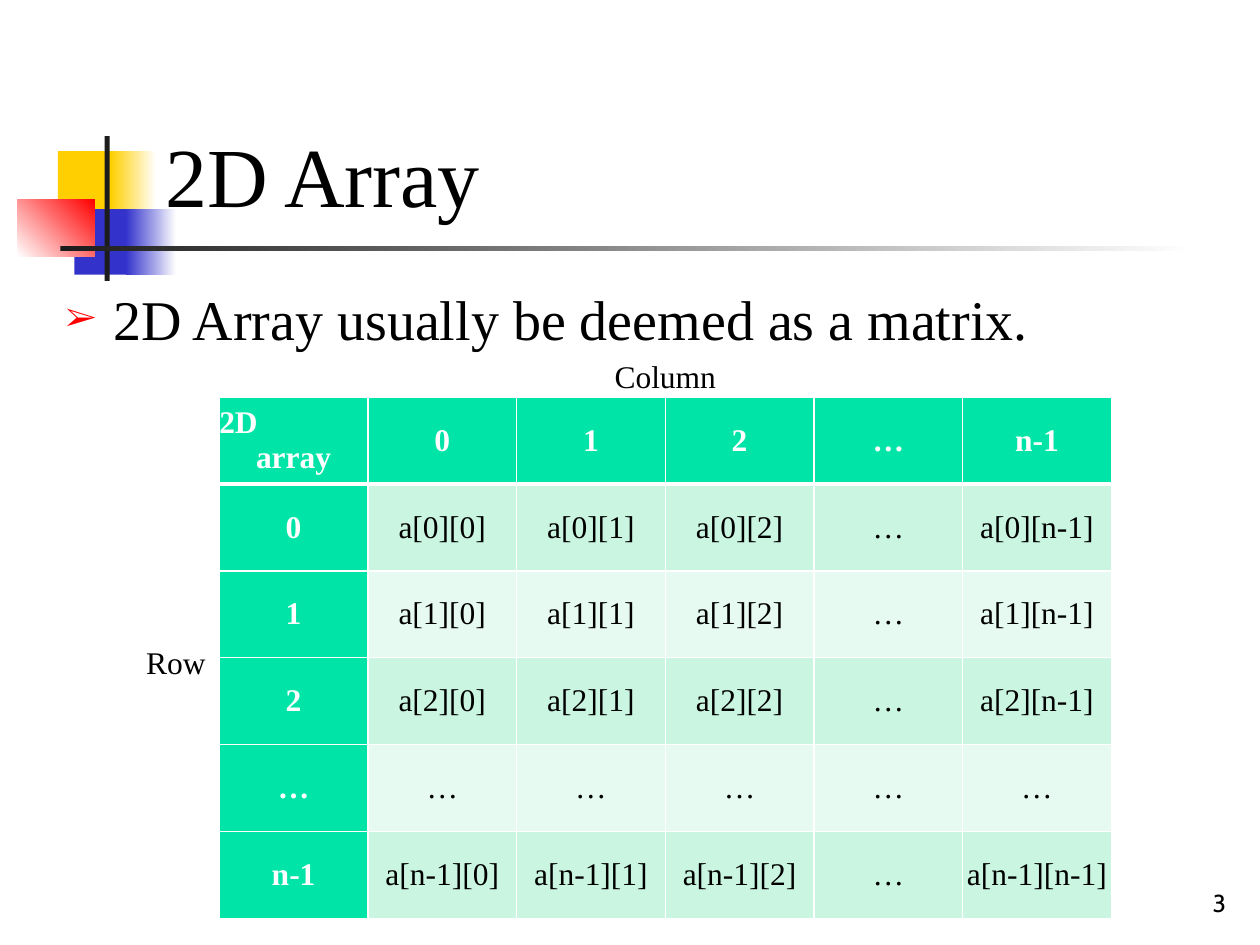
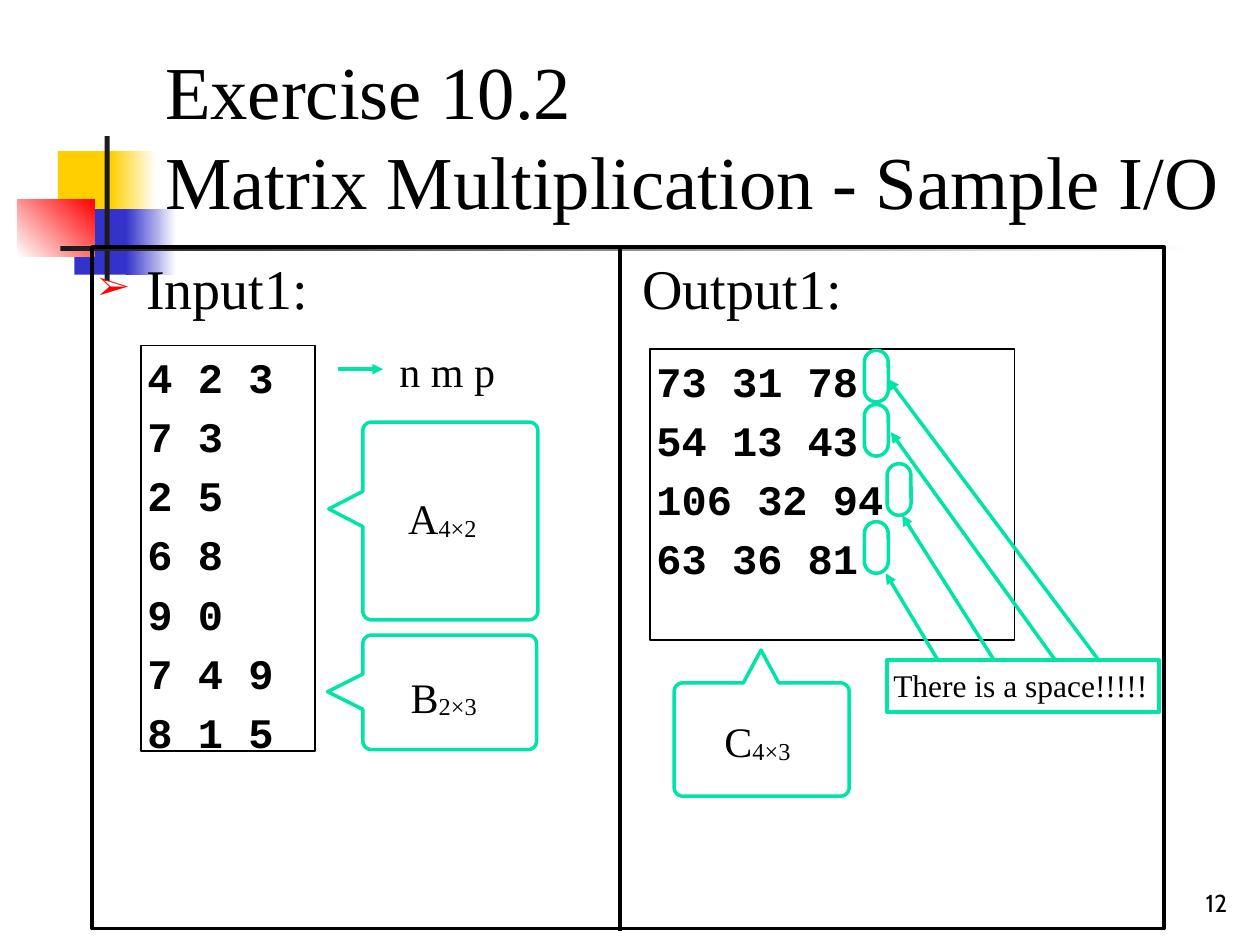
import math
from lxml import etree
from pptx import Presentation
from pptx.dml.color import RGBColor
from pptx.enum.shapes import MSO_CONNECTOR, MSO_SHAPE
from pptx.enum.text import MSO_ANCHOR, PP_ALIGN
from pptx.oxml.ns import qn
from pptx.util import Inches, Pt

RECT, PILL = MSO_SHAPE.RECTANGLE, MSO_SHAPE.ROUNDED_RECTANGLE
STRAIGHT = MSO_CONNECTOR.STRAIGHT
TOP, MIDDLE, BOTTOM = MSO_ANCHOR.TOP, MSO_ANCHOR.MIDDLE, MSO_ANCHOR.BOTTOM
LEFT, CENTER, RIGHT = PP_ALIGN.LEFT, PP_ALIGN.CENTER, PP_ALIGN.RIGHT
SERIF, MONO, NUMBER_FONT = "Times New Roman", "Courier New", "Cabin"
COLORS = {k: RGBColor.from_string(v) for k, v in {
    "black": "000000", "white": "FFFFFF", "yellow": "FFCF01", "blue": "3333CC",
    "red": "FF0000", "ink": "1C1C1C", "green": "00E4A8",
    "band_dark": "CAF5E1", "band_light": "E6FAF1"}.items()}


def style(sp, fill=None, line=None, width=2):
    sp.shadow.inherit = False
    if fill:
        sp.fill.solid()
        sp.fill.fore_color.rgb = COLORS[fill]
    else:
        sp.fill.background()
    if line:
        sp.line.color.rgb = COLORS[line]
        sp.line.width = Pt(width)
    else:
        sp.line.fill.background()
    return sp


def write(sp, lines, size, font=SERIF, bold=False, align=LEFT, anchor=TOP,
          wrap=True, before=0, bullet=False):
    """Fill a shape with one paragraph per line and return its text frame."""
    tf = sp.text_frame
    tf.margin_left = tf.margin_right = tf.margin_top = tf.margin_bottom = Inches(0.05)
    tf.word_wrap, tf.vertical_anchor = wrap, anchor
    tf.text = "\n".join(lines)
    for p in tf.paragraphs:
        p.alignment, p.space_before = align, Pt(before)
        if bullet:
            pPr = p._p.get_or_add_pPr()
            pPr.set("marL", str(Inches(0.38)))
            pPr.set("indent", str(-Inches(0.38)))
            clr = etree.SubElement(pPr, qn("a:buClr"))
            etree.SubElement(clr, qn("a:srgbClr"), val=str(COLORS["red"]))
            etree.SubElement(pPr, qn("a:buSzPct"), val="60000")
            etree.SubElement(pPr, qn("a:buFont"), typeface=SERIF)
            etree.SubElement(pPr, qn("a:buChar"), char="➢")
        for r in p.runs:
            r.font.name, r.font.size, r.font.bold = font, Pt(size), bold
            r.font.color.rgb = COLORS["black"]
    return tf


prs = Presentation()
prs.slide_width, prs.slide_height = Inches(10), Inches(7.5)

# Shared design: coloured blocks, rules, title and slide number
DECOR = [  # left, top, width, height, colour, gradient end, angle
    (0.46, 1.2, 0.48, 0.52, "yellow", None, 0),
    (0.88, 1.2, 0.36, 0.52, "yellow", "white", 0),
    (0.59, 1.66, 0.46, 0.52, "blue", None, 0),
    (1, 1.66, 0.4, 0.52, "blue", "white", 0),
    (0.14, 1.58, 0.61, 0.46, "white", "red", 45),
    (0.83, 1.08, 0.04, 1.15, "ink", None, 0),
    (0.48, 1.95, 9, 0.04, "ink", "white", 0),
]
TITLES = [(["2D Array"], 48, "3", 9.56, 0.22),
          (["Exercise 10.2", "Matrix Multiplication - Sample I/O"], 42.7, "12", 9.46, 0.33)]
slides = []
for title, size, number, left, width in TITLES:
    s = prs.slides.add_slide(prs.slide_layouts[6])
    for *box, color, end, angle in DECOR:
        sp = style(s.shapes.add_shape(RECT, *map(Inches, box)), color)
        if end:
            sp.fill.gradient()
            sp.fill.gradient_angle = angle
            for stop, name in zip(sp.fill.gradient_stops, (color, end)):
                stop.color.rgb = COLORS[name]
    sp = s.shapes.add_textbox(Inches(1.26), Inches(0.23), Inches(8.52), Inches(1.6))
    write(sp, title, size, anchor=BOTTOM)
    sp = s.shapes.add_textbox(Inches(left), Inches(6.99), Inches(width), Inches(0.34))
    write(sp, [number], 14, NUMBER_FONT, align=RIGHT, anchor=BOTTOM, wrap=False)
    slides.append(s)

# Slide 1: 2D array as a matrix
s = slides[0]
sp = s.shapes.add_textbox(Inches(0.47), Inches(2.21), Inches(9.32), Inches(0.65))
write(sp, ["2D Array usually be deemed as a matrix."], 32, before=7, bullet=True)

indices = ["0", "1", "2", "…", "n-1"]
rows = [["Column"] + [""] * 5, ["2D\narray"] + indices]
for i in indices:
    rows.append([i] + ["…" if "…" in (i, j) else f"a[{i}][{j}]" for j in indices])

table = s.shapes.add_table(len(rows), 6, Inches(1.74), Inches(2.85),
                           Inches(7.08), Inches(4.42)).table
table.first_row = table.horz_banding = False
for col in table.columns:
    col.width = Inches(1.18)
for n, row in enumerate(table.rows):
    row.height = Inches(0.69 if n else 0.28)
table.cell(0, 0).merge(table.cell(0, 5))
for y, row in enumerate(rows):
    for x, text in enumerate(row):
        cell = table.cell(y, x)
        cell.margin_left = cell.margin_right = cell.margin_top = cell.margin_bottom = 0
        cell.vertical_anchor = MIDDLE
        tcPr = cell._tc.get_or_add_tcPr()
        for side in "LRTB":
            thick = (y, side) in ((1, "B"), (2, "T"))
            ln = etree.SubElement(tcPr, qn(f"a:ln{side}"), w=str(Pt(3 if thick else 1)))
            fill = etree.SubElement(ln, qn("a:solidFill"))
            etree.SubElement(fill, qn("a:srgbClr"), val=str(COLORS["white"]))
        header = y == 1 or (y > 1 and x == 0)
        if y == 0:
            cell.fill.background()
        else:
            cell.fill.solid()
            band = "band_light" if y % 2 else "band_dark"
            cell.fill.fore_color.rgb = COLORS["green" if header else band]
        cell.text = text
        for p in cell.text_frame.paragraphs:
            p.alignment = CENTER
            for r in p.runs:
                r.font.name, r.font.size, r.font.bold = SERIF, Pt(18), header
                r.font.color.rgb = COLORS["white" if header else "black"]
            if not text:
                rPr = etree.SubElement(p._p, qn("a:endParaRPr"), sz="1800")
                etree.SubElement(rPr, qn("a:latin"), typeface=SERIF)
table.cell(1, 0).text_frame.paragraphs[0].alignment = LEFT

sp = s.shapes.add_textbox(Inches(1.11), Inches(5.05), Inches(0.59), Inches(0.38))
write(sp, ["Row"], 18, wrap=False)

# Slide 2: sample input and output
s = slides[1]
sp = s.shapes.add_shape(RECT, Inches(0.73), Inches(1.96), Inches(8.51), Inches(5.41))
write(style(sp, line="black"), ["Input1:"], 32, before=7, bullet=True)
sp = s.shapes.add_textbox(Inches(5.05), Inches(1.96), Inches(3), Inches(0.65))
write(sp, ["Output1:"], 32, before=7)

SAMPLES = [
    ((1.12, 2.74, 1.38, 3.22), ["4 2 3", "7 3", "2 5", "6 8", "9 0", "7 4 9", "8 1 5"]),
    ((5.16, 2.77, 2.89, 2.31), ["73 31 78", "54 13 43", "106 32 94", "63 36 81"]),
]
for box, lines in SAMPLES:
    sp = style(s.shapes.add_shape(RECT, *map(Inches, box)), line="black", width=0.75)
    write(sp, lines, 24, MONO, bold=True, before=5)

# Callouts naming the matrices: letter, size, box edges, tip, label corner
CALLOUTS = [
    ("A", "4×2", (2.88, 3.35, 4.27, 4.92), (2.61, 4.04), (3.19, 3.86)),
    ("B", "2×3", (2.88, 5.04, 4.26, 5.95), (2.6, 5.49), (3.21, 5.28)),
    ("C", "4×3", (5.35, 5.42, 6.74, 6.32), (6.04, 5.16), (5.7, 5.63)),
]
RADIUS, HALF_BASE = 0.07, 0.14
for letter, dims, (x0, y0, x1, y1), (tx, ty), label in CALLOUTS:
    outline = []
    corners = [(x0, y0, 1, 1), (x1, y0, -1, 1), (x1, y1, -1, -1), (x0, y1, 1, -1)]
    for n, (cx, cy, dx, dy) in enumerate(corners):
        for step in range(7):
            a = math.radians(180 + 90 * n + 15 * step)
            outline.append((cx + RADIUS * (dx + math.cos(a)),
                            cy + RADIUS * (dy + math.sin(a))))
        if n == 0 and ty < y0:
            outline += [(tx - HALF_BASE, y0), (tx, ty), (tx + HALF_BASE, y0)]
        if n == 3 and tx < x0:
            outline += [(x0, ty + HALF_BASE), (tx, ty), (x0, ty - HALF_BASE)]
    points = [(Inches(x), Inches(y)) for x, y in outline]
    fb = s.shapes.build_freeform(*points[0])
    fb.add_line_segments(points[1:], close=True)
    style(fb.convert_to_shape(), "white", "green")
    sp = s.shapes.add_textbox(*map(Inches, label), Inches(0.7), Inches(0.46))
    tf = write(sp, [letter], 24, wrap=False)
    r = tf.paragraphs[0].add_run()
    r.text = dims
    r.font.name, r.font.size = SERIF, Pt(24)
    r.font.color.rgb = COLORS["black"]
    r._r.get_or_add_rPr().set("baseline", "-6000")

# Trailing spaces marked on each output line
for left, top in [(6.86, 2.78), (6.86, 3.21), (7.04, 3.68), (6.86, 4.14)]:
    sp = s.shapes.add_shape(PILL, Inches(left), Inches(top), Inches(0.19), Inches(0.41))
    sp.adjustments[0] = 0.5
    style(sp, line="green")

LINES = [  # start, end, colour
    ((8.78, 5.32), (7.05, 3.01), "green"),
    ((8.39, 5.26), (7.07, 3.43), "green"),
    ((7.89, 5.24), (7.16, 4.09), "green"),
    ((7.48, 5.3), (7.03, 4.55), "green"),
    ((2.68, 2.93), (3.04, 2.93), "green"),
    ((4.92, 7.39), (4.92, 1.95), "black"),
]
for start, end, color in LINES:
    c = s.shapes.add_connector(STRAIGHT, *map(Inches, start + end))
    c.line.color.rgb = COLORS[color]
    c.line.width = Pt(2)
    if color == "green":
        etree.SubElement(c.line._get_or_add_ln(), qn("a:tailEnd"), type="triangle")
    etree.SubElement(c._element.spPr, qn("a:effectLst"))

sp = s.shapes.add_shape(RECT, Inches(7.04), Inches(5.24), Inches(2.16), Inches(0.41))
write(style(sp, "white", "green"), ["There is a space!!!!!"], 18, wrap=False)
sp = s.shapes.add_textbox(Inches(3.12), Inches(2.69), Inches(0.87), Inches(0.46))
write(sp, ["n m p"], 24, wrap=False)

prs.save("out.pptx")
